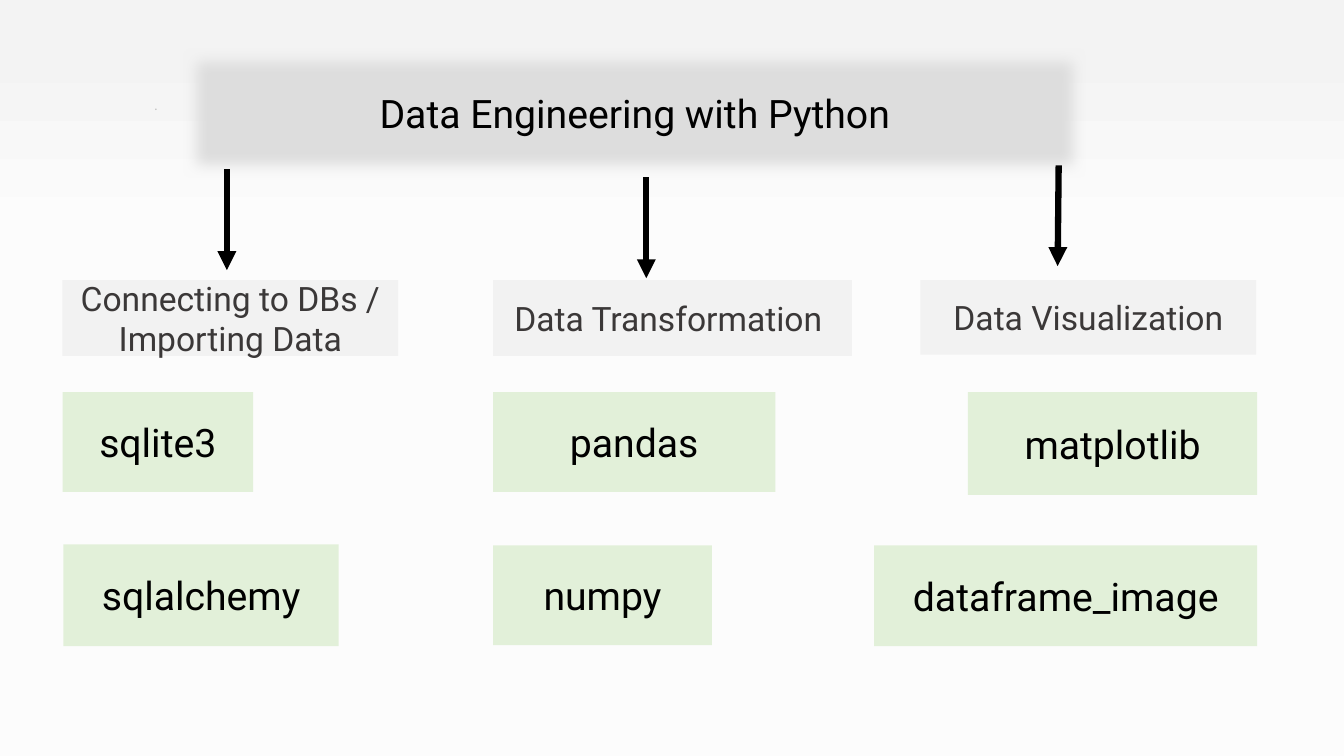
from lxml.etree import SubElement
from pptx import Presentation
from pptx.dml.color import RGBColor
from pptx.enum.shapes import MSO_CONNECTOR, MSO_SHAPE
from pptx.enum.text import MSO_ANCHOR, MSO_AUTO_SIZE, PP_ALIGN
from pptx.oxml import parse_xml
from pptx.oxml.ns import nsdecls, qn
from pptx.util import Inches, Pt

FONT = "Roboto"
BLACK = RGBColor(0x00, 0x00, 0x00)
CHARCOAL = RGBColor(0x3B, 0x38, 0x38)
SILVER = RGBColor(0xBF, 0xBF, 0xBF)
TITLE_GRAY = RGBColor(0xDD, 0xDD, 0xDD)
TOPIC_GRAY = RGBColor(0xF2, 0xF2, 0xF2)
LIBRARY_GREEN = RGBColor(0xE2, 0xF0, 0xD9)
BACKGROUND_TOP = RGBColor(0xF3, 0xF3, 0xF3)
BACKGROUND_BASE = RGBColor(0xFC, 0xFC, 0xFC)

# Label, left, top, width, height
TOPICS = [
    ("Connecting to DBs / Importing Data", 0.62, 2.78, 3.33, 0.75),
    ("Data Transformation ", 4.89, 2.78, 3.56, 0.75),
    ("Data Visualization", 9.13, 2.78, 3.33, 0.74),
]
LIBRARIES = [
    ("sqlite3", 0.62, 3.89, 1.89, 0.99),
    ("sqlalchemy", 0.63, 5.4, 2.73, 1.01),
    ("pandas", 4.89, 3.89, 2.8, 0.99),
    ("numpy", 4.89, 5.41, 2.17, 0.99),
    ("matplotlib", 9.6, 3.89, 2.87, 1.02),
    ("dataframe_image", 8.67, 5.41, 3.8, 1),
]
# Start x, end x, top
ARROWS = [(2.25, 2.25, 1.68), (6.41, 6.41, 1.76), (10.5, 10.49, 1.64)]
ARROW_LENGTH = 1


def write_text(shape, text, size, color, alignment=PP_ALIGN.CENTER):
    frame = shape.text_frame
    frame.word_wrap = True
    paragraph = frame.paragraphs[0]
    paragraph.alignment = alignment
    run = paragraph.add_run()
    run.text = text
    run.font.name = FONT
    run.font.size = Pt(size)
    run.font.color.rgb = color


def paint_background(slide):
    fill = slide.background.fill
    fill.gradient()
    fill.gradient_angle = 270
    stops = [(0.06, BACKGROUND_TOP), (0.31, BACKGROUND_BASE)]
    for stop, (position, color) in zip(fill.gradient_stops, stops):
        stop.position = position
        stop.color.rgb = color


def format_title(slide):
    title = slide.shapes.title
    title.left, title.top = Inches(1.82), Inches(0.48)
    title.width, title.height = Inches(8.95), Inches(1.28)
    properties = title.element.spPr
    # Rounded outline with a soft edge
    properties.insert(1, parse_xml(
        f'<a:prstGeom {nsdecls("a")} prst="roundRect"><a:avLst/></a:prstGeom>'))
    title.fill.solid()
    title.fill.fore_color.rgb = TITLE_GRAY
    effects = SubElement(properties, qn("a:effectLst"))
    SubElement(effects, qn("a:softEdge"), rad=str(Pt(10)))
    title.text_frame.auto_size = MSO_AUTO_SIZE.NONE
    title.text_frame.vertical_anchor = MSO_ANCHOR.MIDDLE
    write_text(title, "Data Engineering with Python", 28, BLACK)


def add_box(slide, box, fill_color, size, text_color):
    label, *place = box
    shape = slide.shapes.add_shape(MSO_SHAPE.RECTANGLE, *map(Inches, place))
    shape.shadow.inherit = False
    shape.fill.solid()
    shape.fill.fore_color.rgb = fill_color
    shape.line.fill.background()
    shape.text_frame.vertical_anchor = MSO_ANCHOR.MIDDLE
    write_text(shape, label, size, text_color)


def add_arrow(slide, start_x, end_x, top):
    ends = (start_x, top, end_x, top + ARROW_LENGTH)
    arrow = slide.shapes.add_connector(MSO_CONNECTOR.STRAIGHT, *map(Inches, ends))
    arrow.line.color.rgb = BLACK
    arrow.line.width = Pt(4.5)
    properties = arrow.element.spPr
    SubElement(properties.find(qn("a:ln")), qn("a:tailEnd"), type="triangle")
    SubElement(properties, qn("a:effectLst"))


def add_dot(slide):
    dot = slide.shapes.add_textbox(
        Inches(1.43), Inches(0.9), Inches(4.21), Inches(0.28))
    write_text(dot, ".", 10.5, SILVER, PP_ALIGN.JUSTIFY)


def main():
    presentation = Presentation()
    presentation.slide_width = Inches(13.33)
    presentation.slide_height = Inches(7.5)
    slide = presentation.slides.add_slide(presentation.slide_layouts[5])

    # Background and heading
    paint_background(slide)
    format_title(slide)
    add_dot(slide)

    # Topics and the libraries under them
    for topic in TOPICS:
        add_box(slide, topic, TOPIC_GRAY, 24, CHARCOAL)
    for library in LIBRARIES:
        add_box(slide, library, LIBRARY_GREEN, 28, BLACK)

    # Arrows from the heading to the topics
    for arrow in ARROWS:
        add_arrow(slide, *arrow)

    presentation.save("out.pptx")


if __name__ == "__main__":
    main()
